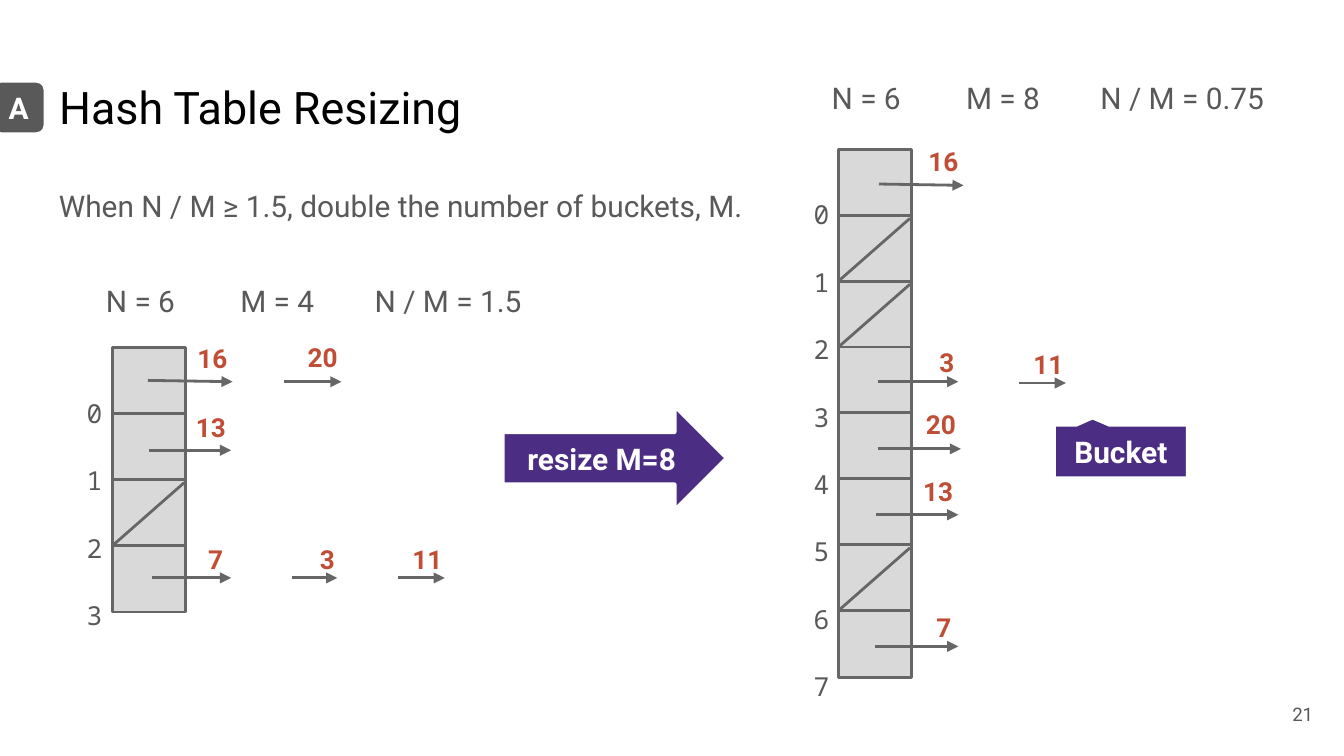
import pptx
import pptx.dml.color
import pptx.enum.shapes
import pptx.enum.text
import pptx.oxml
import pptx.oxml.ns
import pptx.util

Pt = pptx.util.Pt
SHAPE = pptx.enum.shapes.MSO_SHAPE
ALIGN = pptx.enum.text.PP_ALIGN
ANCHOR = pptx.enum.text.MSO_ANCHOR

COLORS = {
    "black": "000000", "white": "FFFFFF", "text": "595959",
    "line": "666666", "cell": "D9D9D9", "purple": "4B2E83", "key": "C04E36",
}
FORMATS = {
    "title": {"size": Pt(24), "name": "Roboto", "bold": False},
    "body": {"size": Pt(16), "name": "Roboto", "bold": False},
    "strong": {"size": Pt(16), "name": "Roboto", "bold": True},
    "key": {"size": Pt(14), "name": "Roboto", "bold": True},
    "index": {"size": Pt(14), "name": "Noto Sans Mono", "bold": False},
    "number": {"size": Pt(10), "name": "Roboto", "bold": False},
}
CELL_WIDTH, CELL_HEIGHT, CELL_PITCH = 38.9, 35.7, 35.3
TAB_STOP = 72


def color(name):
    return pptx.dml.color.RGBColor.from_string(COLORS[name])


def add_xml(parent, tag, **attributes):
    element = pptx.oxml.parse_xml(f"<a:{tag} {pptx.oxml.ns.nsdecls('a')}/>")
    for name, value in attributes.items():
        element.set(name, str(value))
    parent.append(element)
    return element


class SlideBuilder:
    def __init__(self, presentation):
        self.slide = presentation.slides.add_slide(presentation.slide_layouts[5])

    def fill_text(self, shape, text, style, text_color="text", align=ALIGN.LEFT,
                  anchor=ANCHOR.TOP, spacing=1.0, after=0, tabs=0):
        frame = shape.text_frame
        settings = {"word_wrap": True, "vertical_anchor": anchor,
                    "auto_size": pptx.enum.text.MSO_AUTO_SIZE.NONE}
        for side in ("left", "top", "right", "bottom"):
            settings[f"margin_{side}"] = Pt(7.2)
        for name, value in settings.items():
            setattr(frame, name, value)
        frame.text = text
        for paragraph in frame.paragraphs:
            paragraph.alignment = align
            paragraph.line_spacing = spacing
            paragraph.space_before = Pt(0)
            paragraph.space_after = Pt(after)
            if tabs:
                tab_list = add_xml(paragraph._p.get_or_add_pPr(), "tabLst")
                for stop in range(1, tabs + 1):
                    add_xml(tab_list, "tab", pos=int(Pt(TAB_STOP * stop)), algn="l")
            for name, value in FORMATS[style].items():
                setattr(paragraph.font, name, value)
            paragraph.font.color.rgb = color(text_color)

    def title(self, text, *box):
        shape = self.slide.shapes.title
        for name, value in zip(("left", "top", "width", "height"), box):
            setattr(shape, name, Pt(value))
        self.fill_text(shape, text, "title", "black")

    def text(self, text, box, style, **options):
        shape = self.slide.shapes.add_textbox(*map(Pt, box))
        self.fill_text(shape, text, style, **options)

    def shape(self, kind, box, fill, line=None, line_width=2.25, adjustments=()):
        shape = self.slide.shapes.add_shape(kind, *map(Pt, box))
        shape.shadow.inherit = False
        shape.fill.solid()
        shape.fill.fore_color.rgb = color(fill)
        if line:
            shape.line.color.rgb = color(line)
            shape.line.width = Pt(line_width)
        else:
            shape.line.fill.background()
        for index, value in enumerate(adjustments):
            shape.adjustments[index] = value
        return shape

    def label(self, text, kind, box, fill, adjustments):
        shape = self.shape(kind, box, fill, "white", adjustments=adjustments)
        self.fill_text(shape, text, "strong", "white", ALIGN.CENTER, ANCHOR.MIDDLE)

    def line(self, start, end, arrow=False):
        connector = self.slide.shapes.add_connector(
            pptx.enum.shapes.MSO_CONNECTOR.STRAIGHT, *map(Pt, start + end))
        connector.line.color.rgb = color("line")
        connector.line.width = Pt(1.5)
        if arrow:
            add_xml(connector.line._get_or_add_ln(), "tailEnd", type="triangle")
        add_xml(connector._element.spPr, "effectLst")

    def buckets(self, left, top, count, empty, index_left):
        """Draw a column of buckets with indices and a slash in each empty one."""
        for row in range(count):
            box = (left, top + row * CELL_PITCH, CELL_WIDTH, CELL_HEIGHT)
            self.shape(SHAPE.RECTANGLE, box, "cell", "line", 1.5)
        for row in empty:
            cell_top = top + row * CELL_PITCH
            self.line((left + 0.7, cell_top + 34.6), (left + 38.2, cell_top + 1.7))
        self.text("\n".join(map(str, range(count))),
                  (index_left, top, 23, count * CELL_PITCH), "index",
                  align=ALIGN.RIGHT, spacing=2.15)

    def entry(self, key, label_left, label_top, start, end, y, rise=0):
        """Draw a key above the arrow that leads to it."""
        self.line((start, y), (end, y + rise), arrow=True)
        self.text(key, (label_left, label_top, 32.4, 19.4), "key", text_color="key")

    def load_factor(self, text, left, top):
        shape = self.shape(SHAPE.RECTANGLE, (left, top, 252, 32.4), "white")
        self.fill_text(shape, text, "body", tabs=2)


OLD_ENTRIES = [
    ("16", 98.6, 176.4, 79.2, 124.6, 203.8, 0.7),
    ("20", 157.7, 175.7, 151.9, 182.9, 204.5),
    ("13", 97.9, 213.1, 79.9, 123.8, 241.2),
    ("7", 104.4, 283.7, 81.4, 123.8, 309.6),
    ("3", 164.2, 283.7, 156.2, 180.7, 309.6),
    ("11", 213.8, 283.7, 213.1, 238.3, 309.6),
]
NEW_ENTRIES = [
    ("16", 490.3, 70.6, 470.9, 516.2, 98.6, 0.7),
    ("3", 496.1, 178.6, 470.2, 513.4, 204.5),
    ("11", 546.5, 179.3, 545.8, 571, 205.2),
    ("20", 488.9, 211.7, 470.2, 514.8, 240.5),
    ("13", 487.4, 247.7, 469.4, 513.4, 275.8),
    ("7", 494.6, 320.4, 468.7, 513.4, 346.3),
]


def main():
    presentation = pptx.Presentation()
    presentation.slide_width = Pt(720)
    presentation.slide_height = Pt(405)
    builder = SlideBuilder(presentation)

    builder.title("Hash Table Resizing", 24.5, 35.3, 671, 45.4)
    builder.text("When N / M ≥ 1.5, double the number of buckets, M.",
                 (24.5, 90.7, 671, 32.4), "body", spacing=1.15, after=8)
    builder.text("21", (667.4, 367.2, 43.2, 31), "number",
                 align=ALIGN.RIGHT, anchor=ANCHOR.MIDDLE)
    builder.label("A", SHAPE.ROUNDED_RECTANGLE, (-4.3, 43.2, 28.8, 28.8),
                  "text", (0.167,))

    builder.load_factor("N = 6\tM = 4\tN / M = 1.5", 49.7, 144)
    builder.load_factor("N = 6\tM = 8\tN / M = 0.75", 438.5, 35.3)
    builder.buckets(60.5, 186.3, 4, (2,), 38.9)
    builder.buckets(449.3, 80, 8, (1, 2, 6), 428.4)
    for entry in OLD_ENTRIES + NEW_ENTRIES:
        builder.entry(*entry)

    builder.label("resize M=8", SHAPE.RIGHT_ARROW, (269.3, 217.4, 120.2, 56.2),
                  "purple", (0.5, 0.5))
    builder.label("Bucket", SHAPE.ROUNDED_RECTANGULAR_CALLOUT,
                  (564.5, 227.5, 72, 28.8), "purple", (-0.211, -0.636, 0))
    presentation.save("out.pptx")


if __name__ == "__main__":
    main()
